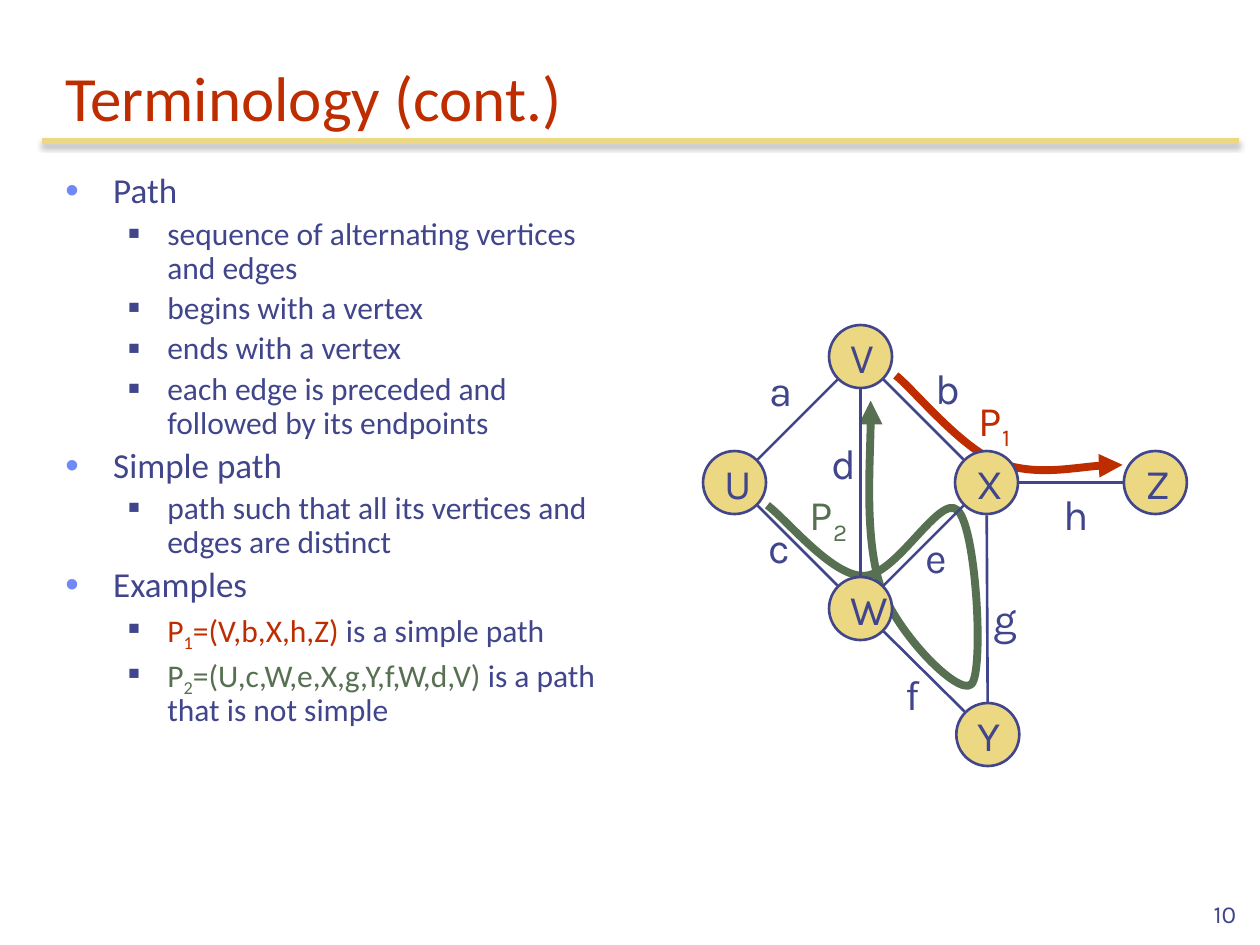
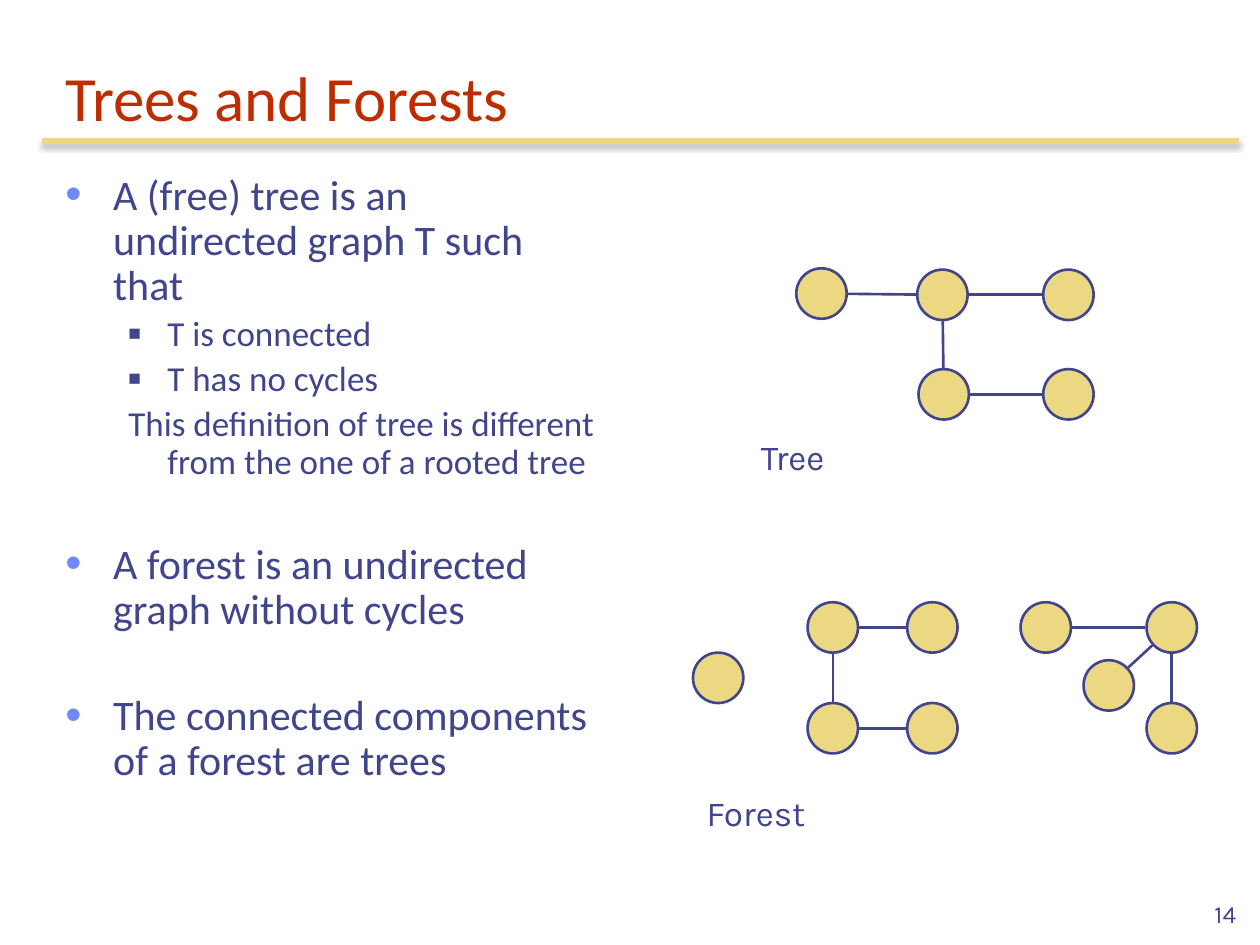
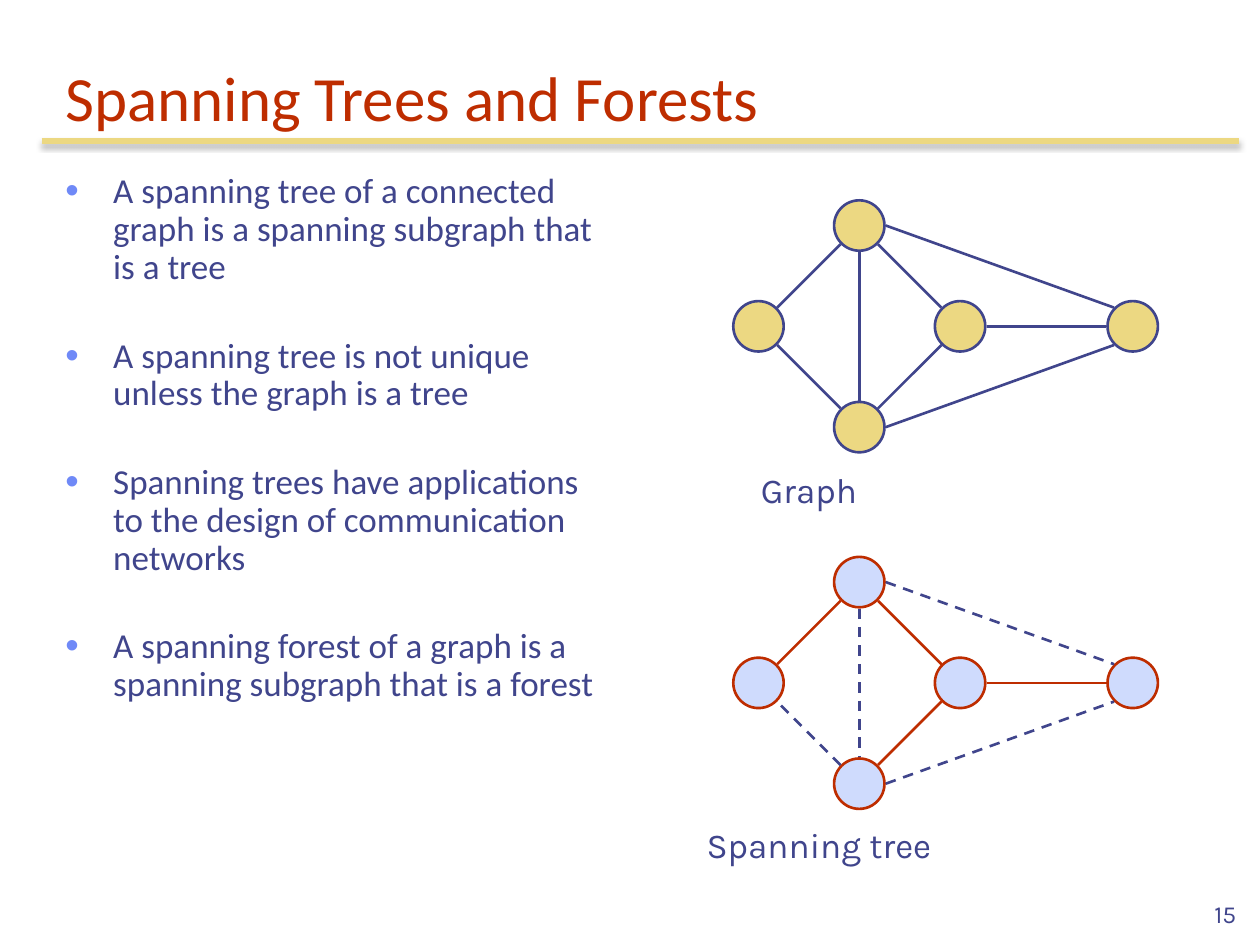
import math
from dataclasses import dataclass
from lxml import etree
from pptx import Presentation
from pptx import util as u
from pptx.dml.color import RGBColor
from pptx.enum import dml, shapes, text
from pptx.oxml.ns import qn


@dataclass(frozen=True)
class Theme:
    ink: str = "40458C"
    red: str = "BE2D00"
    green: str = "577052"
    gold: str = "ECD882"
    pale: str = "CFDBFD"
    dot: str = "6F89F7"
    body: str = "Calibri"
    label: str = "Karla"
    title: int = 36
    big: int = 24
    mid: int = 20
    small: int = 18
    page: int = 14
    thin: float = 1.5
    rule: float = 3
    thick: float = 4.5


T = Theme()
LEVELS = ((0.38, -0.38, "•", T.dot, 110), (0.81, -0.31, "■", T.ink, 60))
GAP, BLANK = 0.2, 1.45


def sub(parent, tag, **attrs):
    return etree.SubElement(parent, qn("a:" + tag), {k: str(v) for k, v in attrs.items()})


@dataclass(frozen=True)
class Node:
    x: float
    y: float
    r: float

    def port(self, dx, dy):
        reach = (self.r + 0.01) / math.hypot(dx, dy)
        return self.x + dx * reach, self.y + dy * reach


class Deck:
    def __init__(self, theme):
        self.t = theme
        self.prs = Presentation()
        self.prs.slide_width, self.prs.slide_height = u.Inches(10), u.Inches(7.5)
        self.slide = None

    def page(self, title, number):
        self.slide = self.prs.slides.add_slide(self.prs.slide_layouts[6])
        t = self.t
        rule = self.line((0.33, 1.12), (9.83, 1.12), t.gold, t.rule)
        fx = rule._element.spPr.find(qn("a:effectLst"))
        glow = sub(fx, "outerShdw", blurRad=u.Pt(3.1), dist=u.Pt(1.8),
                   dir=5400000, algn="ctr", rotWithShape=0)
        sub(sub(glow, "srgbClr", val="000000"), "alpha", val=35000)
        bottom = text.MSO_ANCHOR.BOTTOM
        self.text((0.42, 0.33, 9.33, 0.78), [(title, t.red)], t.title, t.body, anchor=bottom)
        self.text((7.83, 6.92, 2.08, 0.5), [(str(number), t.ink)], t.page,
                  anchor=bottom, align=text.PP_ALIGN.RIGHT)

    def runs(self, para, parts, size, face):
        for words, hue, *base in parts:
            run = para.add_run()
            run.text = words
            run.font.size, run.font.name = u.Pt(size), face
            run.font.color.rgb = RGBColor.from_string(hue)
            if base:
                run._r.get_or_add_rPr().set("baseline", str(base[0] * 1000))

    def box(self, place):
        return self.slide.shapes.add_textbox(*map(u.Inches, place)).text_frame

    def text(self, place, parts, size, face=T.label, wrap=True,
             anchor=text.MSO_ANCHOR.TOP, align=text.PP_ALIGN.LEFT):
        frame = self.box(place)
        frame.word_wrap, frame.vertical_anchor = wrap, anchor
        frame.paragraphs[0].alignment = align
        self.runs(frame.paragraphs[0], parts, size, face)

    def label(self, x, y, *parts):
        self.text((x, y, 0.5, 0.5), parts, self.t.big, wrap=False)

    def caption(self, x, y, words):
        self.text((x, y, 3.5, 0.43), [(words, self.t.ink)], self.t.mid)

    def list(self, sizes, items):
        frame = self.box((0.42, 1.33, 4.42, 5.76))
        frame.word_wrap = True
        for i, (level, parts, *opts) in enumerate(items):
            para = frame.paragraphs[0] if i == 0 else frame.add_paragraph()
            left, indent, mark, hue, scale = LEVELS[level]
            ppr = para._p.get_or_add_pPr()
            ppr.set("marL", str(u.Inches(left)))
            ppr.set("indent", str(u.Inches(indent)))
            if "plain" in opts:
                sub(ppr, "buNone")
            else:
                sub(sub(ppr, "buClr"), "srgbClr", val=hue)
                sub(ppr, "buSzPct", val=scale * 1000)
                sub(ppr, "buFont", typeface="Arial")
                sub(ppr, "buChar", char=mark)
            para.level, para.line_spacing = level, 0.9
            size = sizes[level]
            if i:
                para.space_before = u.Pt(size * (BLANK if "apart" in opts else GAP))
            if isinstance(parts, str):
                parts = [(parts, self.t.ink)]
            self.runs(para, parts, size, self.t.body)

    def line(self, start, end, hue=T.ink, width=T.thin, dash=False):
        link = self.slide.shapes.add_connector(
            shapes.MSO_CONNECTOR.STRAIGHT, *map(u.Inches, (*start, *end)))
        link.line.color.rgb = RGBColor.from_string(hue)
        link.line.width = u.Pt(width)
        if dash:
            link.line.dash_style = dml.MSO_LINE.DASH
        sub(link._element.spPr, "effectLst")
        return link

    def edge(self, a, b, out=None, into=None, **style):
        dx, dy = b.x - a.x, b.y - a.y
        self.line(a.port(*(out or (dx, dy))), b.port(*(into or (-dx, -dy))), **style)

    def node(self, x, y, r=0.2, name="", fill=T.gold, hue=T.ink):
        disc = self.slide.shapes.add_shape(
            shapes.MSO_SHAPE.OVAL, *map(u.Inches, (x - r, y - r, 2 * r, 2 * r)))
        disc.shadow.inherit = False
        disc.fill.solid()
        disc.fill.fore_color.rgb = RGBColor.from_string(fill)
        disc.line.color.rgb = RGBColor.from_string(hue)
        disc.line.width = u.Pt(self.t.thin)
        if name:
            frame = disc.text_frame
            frame.word_wrap, frame.vertical_anchor = False, text.MSO_ANCHOR.MIDDLE
            frame.paragraphs[0].alignment = text.PP_ALIGN.LEFT
            self.runs(frame.paragraphs[0], [(name, self.t.ink)], self.t.big, self.t.label)
        return Node(x, y, r)

    def curve(self, points, hue, arrow):
        start, *rest = [tuple(map(u.Inches, p)) for p in points]
        pen = self.slide.shapes.build_freeform(*start)
        pen.add_line_segments(rest, close=False)
        shape = pen.convert_to_shape()
        steps = list(shape._element.iter(qn("a:lnTo")))
        for i in range(0, len(steps), 3):
            bend = etree.Element(qn("a:cubicBezTo"))
            steps[i].addprevious(bend)
            for step in steps[i:i + 3]:
                bend.append(step[0])
                step.getparent().remove(step)
        shape.shadow.inherit = False
        shape.fill.background()
        shape.line.color.rgb = RGBColor.from_string(hue)
        shape.line.width = u.Pt(self.t.thick)
        sub(shape.line._get_or_add_ln(), arrow, type="triangle")


def terms(deck):
    deck.page("Terminology (cont.)", 10)
    deck.list((T.mid, T.small), [
        (0, "Path"),
        (1, "sequence of alternating vertices and edges"),
        (1, "begins with a vertex"),
        (1, "ends with a vertex"),
        (1, "each edge is preceded and followed by its endpoints"),
        (0, "Simple path"),
        (1, "path such that all its vertices and edges are distinct"),
        (0, "Examples"),
        (1, [("P", T.red), ("1", T.red, -25), ("=(V,b,X,h,Z)", T.red),
             (" is a simple path", T.ink)]),
        (1, [("P", T.green), ("2", T.green, -25), ("=(U,c,W,e,X,g,Y,f,W,d,V)", T.green),
             (" is a path that is not simple", T.ink)]),
    ])
    deck.curve([(6.91, 3.18), (6.92, 3.42), (6.86, 4.28), (6.99, 4.66),
                (7.12, 5.03), (7.61, 5.53), (7.71, 5.43),
                (7.81, 5.33), (7.75, 4.19), (7.6, 4.05),
                (7.46, 3.91), (7.11, 4.58), (6.85, 4.57),
                (6.6, 4.57), (6.25, 4.13), (6.09, 4.01)], T.green, "headEnd")
    deck.label(7.67, 3.08, ("P", T.red), ("1", T.red, -25))
    deck.curve([(7.11, 2.98), (7.25, 3.09), (7.62, 3.55), (7.92, 3.67),
                (8.22, 3.78), (8.7, 3.68), (8.91, 3.69)], T.red, "tailEnd")
    spots = {"X": (7.83, 3.83), "U": (5.83, 3.83), "V": (6.83, 2.83),
             "W": (6.83, 4.83), "Z": (9.17, 3.83), "Y": (7.84, 5.83)}
    nodes = {name: deck.node(x, y, 0.25, name) for name, (x, y) in spots.items()}
    for a, b in ("VU", "WU", "WX", "XZ", "VX", "VW", "WY", "XY"):
        deck.edge(nodes[a], nodes[b])
    for name, x, y in (("a", 6.01, 2.84), ("c", 6, 4.09), ("b", 7.33, 2.83),
                       ("e", 7.25, 4.17), ("d", 6.5, 3.42), ("f", 7.09, 5.26),
                       ("g", 7.79, 4.65), ("h", 8.34, 3.83)):
        deck.label(x, y, (name, T.ink))
    deck.label(6.33, 3.83, ("P", T.green), ("2", T.green, -25))


def trees(deck):
    deck.page("Trees and Forests", 14)
    deck.list((T.big, T.mid), [
        (0, "A (free) tree is an undirected graph T such that"),
        (1, "T is connected"),
        (1, "T has no cycles"),
        (1, "This definition of tree is different from the one of a rooted tree", "plain"),
        (0, "A forest is an undirected graph without cycles", "apart"),
        (0, "The connected components of a forest are trees", "apart"),
    ])
    deck.caption(5.94, 3.41, "Tree")
    deck.caption(5.51, 6.23, "Forest")
    parts = (
        ([(6.52, 2.33), (7.48, 2.34), (8.48, 2.34), (7.49, 3.13), (8.48, 3.13)],
         [(0, 1), (1, 2), (1, 3), (3, 4)]),
        ([(5.7, 5.38)], []),
        ([(6.61, 4.98), (7.4, 4.98), (6.61, 5.78), (7.4, 5.78)],
         [(0, 1), (0, 2), (2, 3)]),
        ([(8.3, 4.98), (9.3, 4.98), (9.3, 5.78), (8.8, 5.44)],
         [(0, 1), (1, 2), (1, 3)]),
    )
    for spots, edges in parts:
        nodes = [deck.node(*spot) for spot in spots]
        for a, b in edges:
            deck.edge(nodes[a], nodes[b])


def kite(deck, y, fill, rim, loose=()):
    step = 0.8
    spots = {"mid": (7.62, y), "left": (6.02, y), "top": (6.82, y - step),
             "low": (6.82, y + step), "far": (8.99, y)}
    nodes = {k: deck.node(*spot, fill=fill, hue=rim) for k, spot in spots.items()}
    right = (1, 0)
    for a, b, *ports in (("top", "left"), ("low", "left"), ("low", "mid"),
                         ("top", "mid"), ("top", "low"), ("mid", "far"),
                         ("low", "far", right, (-1, 1)),
                         ("top", "far", right, (-1, -1))):
        free = (a, b) in loose
        deck.edge(nodes[a], nodes[b], *ports, hue=T.ink if free else rim, dash=free)


def spans(deck):
    deck.page("Spanning Trees and Forests", 15)
    deck.list((T.mid, T.small), [
        (0, "A spanning tree of a connected graph is a spanning subgraph that is a tree"),
        (0, "A spanning tree is not unique unless the graph is a tree", "apart"),
        (0, "Spanning trees have applications to the design of communication networks", "apart"),
        (0, "A spanning forest of a graph is a spanning subgraph that is a forest", "apart"),
    ])
    deck.caption(5.94, 3.67, "Graph")
    deck.caption(5.51, 6.49, "Spanning tree")
    kite(deck, 2.59, T.gold, T.ink)
    kite(deck, 5.42, T.pale, T.red,
         {("low", "left"), ("top", "low"), ("low", "far"), ("top", "far")})


def main():
    deck = Deck(T)
    for build in (terms, trees, spans):
        build(deck)
    deck.prs.save("out.pptx")


if __name__ == "__main__":
    main()
